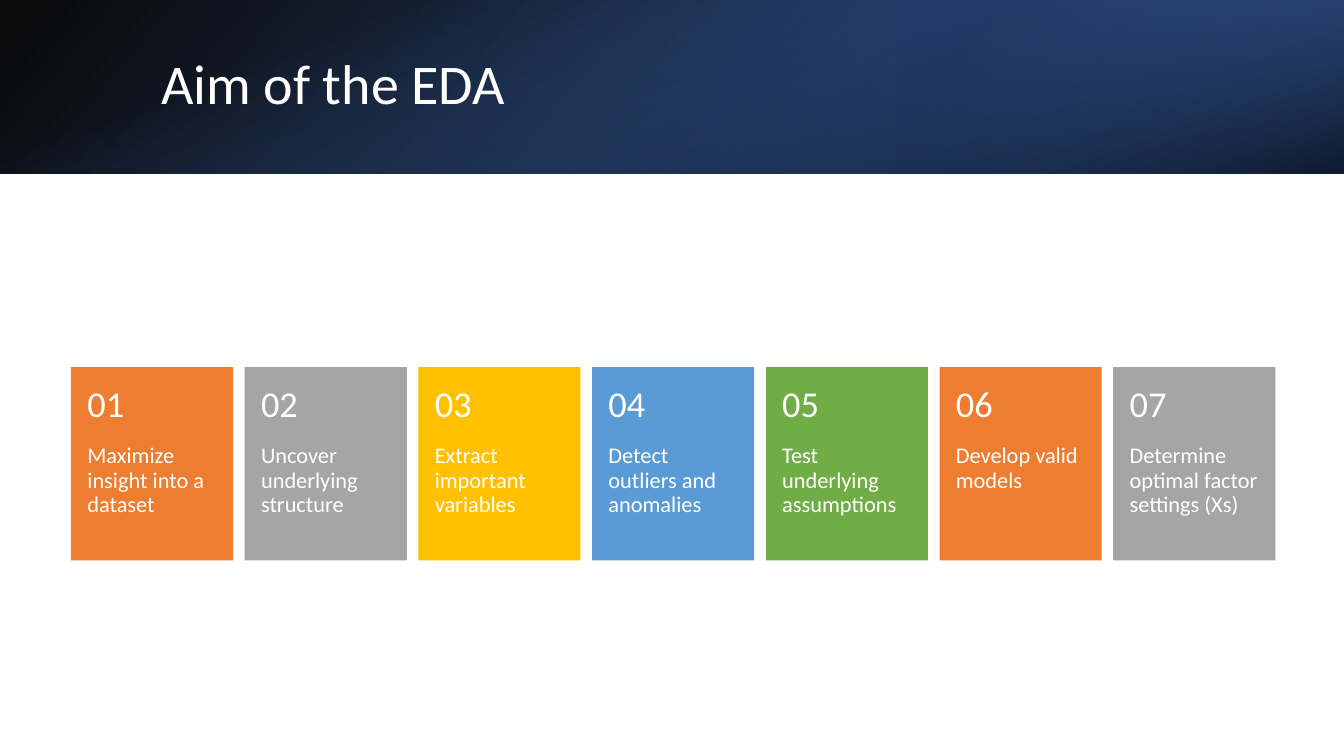
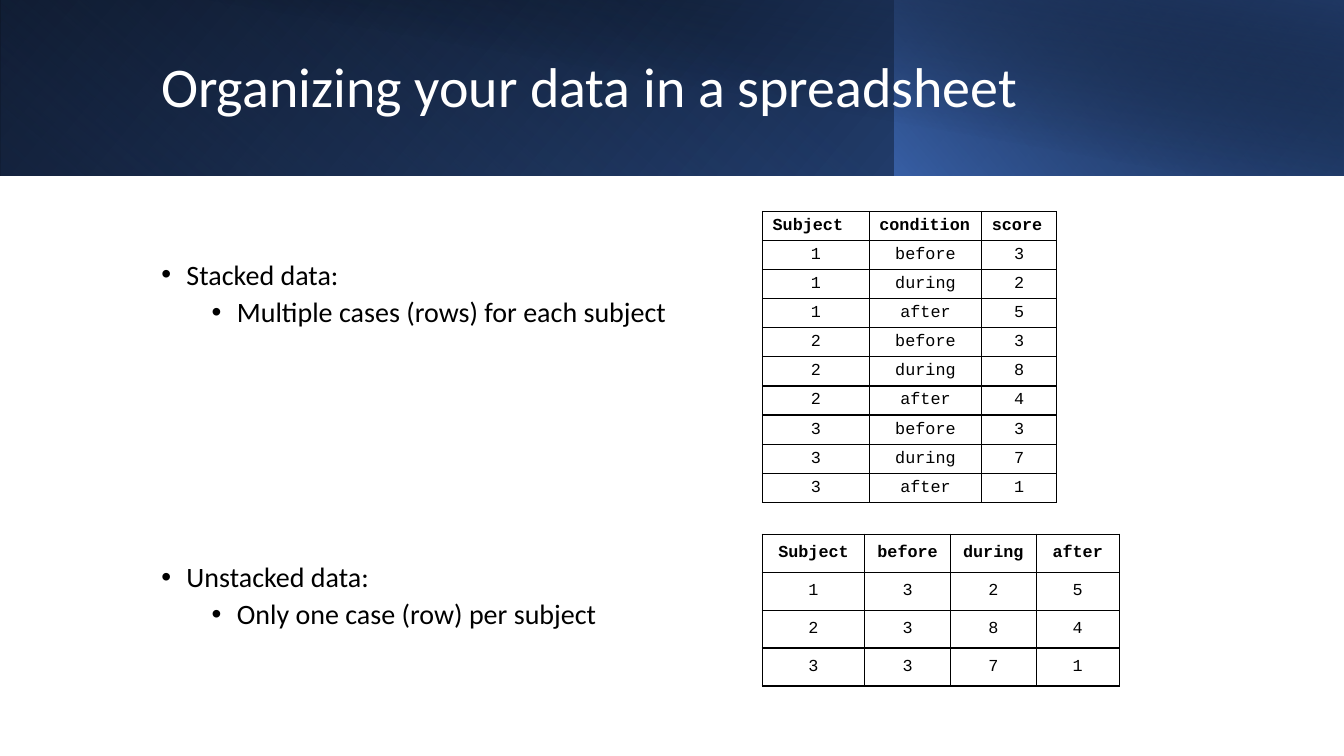
"""Build two slides on exploring data: aims in tiles, and two ways to lay out a table."""
from lxml.etree import SubElement as Sub
from pptx import Presentation
from pptx.dml.color import RGBColor as RGB
from pptx.enum.shapes import MSO_SHAPE as SHAPE
from pptx.enum.text import MSO_ANCHOR as ANCHOR, MSO_AUTO_SIZE as AUTO, PP_ALIGN as ALIGN
from pptx.oxml.ns import qn
from pptx.util import Pt

COLS, ROWS = 160, 90
FONT, MONO = "Calibri", "Courier New"
C = {
    "white": "FFFFFF", "black": "000000", "navy": "203864", "deep": "2F5597",
    "blue": "4472C4", "orange": "ED7D31", "gray": "A5A5A5", "gold": "FFC000",
    "sky": "5B9BD5", "green": "70AD47",
}
TILE_COLORS = ["orange", "gray", "gold", "sky", "green"]
AIMS = [
    "Maximize insight into a dataset",
    "Uncover underlying structure",
    "Extract important variables",
    "Detect outliers and anomalies",
    "Test underlying assumptions",
    "Develop valid models",
    "Determine optimal factor settings (Xs)",
]
TIMES = ["before", "during", "after"]
SCORES = {1: [3, 2, 5], 2: [3, 8, 4], 3: [3, 7, 1]}


def cell(n):
    """Turn grid columns or rows into a length."""
    return Pt(6 * n)


def place(shape, box):
    """Move a shape to a box given in grid units."""
    shape.left, shape.top, shape.width, shape.height = map(cell, box)


def write(p, text, size=20, font=FONT, color="white", bold=False,
          align=ALIGN.LEFT, spacing=0.9, before=0):
    """Fill one paragraph with formatted text."""
    p.alignment, p.line_spacing = align, spacing
    p.space_before, p.space_after = Pt(before), Pt(0)
    r = p.add_run()
    r.text = text
    f = r.font
    f.name, f.size, f.bold = font, Pt(size), bold
    f.color.rgb = RGB.from_string(C[color])


def frame(shape, anchor=ANCHOR.TOP):
    """Give a shape a wrapping text frame of fixed size."""
    tf = shape.text_frame
    tf.word_wrap, tf.auto_size, tf.vertical_anchor = True, AUTO.NONE, anchor
    return tf


def add_rect(s, box):
    """Add a rectangle without shadow or outline."""
    sp = s.shapes.add_shape(SHAPE.RECTANGLE, *map(cell, box))
    sp.shadow.inherit = False
    sp.line.fill.background()
    return sp


def add_band(s, box, angle, *stops, flip=True, turn=0):
    """Add a gradient rectangle; stops are (position, color, opacity)."""
    sp = add_rect(s, box)
    sp.rotation = turn
    pr = sp.element.spPr
    if flip:
        pr.find(qn("a:xfrm")).set("flipH", "1")
    sp.fill.gradient()
    grad = pr.find(qn("a:gradFill"))
    grad.clear()
    grad.set("rotWithShape", "1")
    gs_list = Sub(grad, qn("a:gsLst"))
    for pos, color, opacity in stops:
        gs = Sub(gs_list, qn("a:gs"), pos=str(pos * 1000))
        clr = Sub(gs, qn("a:srgbClr"), val=C[color])
        Sub(clr, qn("a:alpha"), val=str(opacity * 1000))
    Sub(grad, qn("a:lin"), ang=str(angle * 60000), scaled="0")


def add_base(s, height, opacity=100):
    """Add the full-width band behind a title."""
    add_band(s, (0, 0, COLS, height), 140, (0, "black", opacity), (100, "deep", 100))


def set_title(s, text, box):
    """Fill and place the title placeholder in front of the bands."""
    title = s.shapes.title
    place(title, box)
    write(frame(title, ANCHOR.MIDDLE).paragraphs[0], text, size=40)
    title.element.getparent().append(title.element)


def add_text(s, box, text, size, insets, anchor=ANCHOR.TOP):
    """Add a text box with insets left, top, right, bottom in grid units."""
    tf = frame(s.shapes.add_textbox(*map(cell, box)), anchor)
    tf.margin_left, tf.margin_top, tf.margin_right, tf.margin_bottom = map(cell, insets)
    write(tf.paragraphs[0], text, size=size)


def add_tile(s, i, text):
    """Add one numbered tile of the row."""
    x, y, w, head, body = 8.45 + 20.68 * i, 43.72, 19.3, 9.2, 13.8
    sp = add_rect(s, (x, y, w, head + body))
    sp.fill.solid()
    sp.fill.fore_color.rgb = RGB.from_string(C[TILE_COLORS[i % len(TILE_COLORS)]])
    add_text(s, (x, y + head, w, body), text, 16, (1.95, 0, 1.7, 4.3))
    add_text(s, (x, y, w, head), f"{i + 1:02}", 26, (1.95, 2.1, 1.95, 2.1), ANCHOR.MIDDLE)


def add_bullet(tf, text, level=0, before=0):
    """Add a bulleted paragraph with a hanging indent."""
    p = tf.paragraphs[0] if not tf.text else tf.add_paragraph()
    p.level = level
    pr = p._p.get_or_add_pPr()
    pr.set("marL", str(cell(3 + 6 * level)))
    pr.set("indent", str(-cell(3)))
    Sub(pr, qn("a:buFont"), typeface="Arial")
    Sub(pr, qn("a:buChar"), char="•")
    write(p, text, color="black", before=before)


def add_borders(c):
    """Draw thin black lines round a table cell."""
    pr = c._tc.get_or_add_tcPr()
    for i, side in enumerate("LRTB"):
        ln = Sub(pr, qn(f"a:ln{side}"), w=str(Pt(1)))
        Sub(Sub(ln, qn("a:solidFill")), qn("a:srgbClr"), val=C["black"])
        pr.insert(i, ln)


def add_grid(s, x, y, widths, row_height, rows, head_align=ALIGN.CENTER):
    """Add a ruled table with a bold first row."""
    box = (x, y, sum(widths), row_height * len(rows))
    table = s.shapes.add_table(len(rows), len(widths), *map(cell, box)).table
    for col, width in zip(table.columns, widths):
        col.width = cell(width)
    for i, row in enumerate(rows):
        table.rows[i].height = cell(row_height)
        for j, value in enumerate(row):
            c = table.cell(i, j)
            c.fill.background()
            c.vertical_anchor = ANCHOR.MIDDLE
            add_borders(c)
            write(c.text_frame.paragraphs[0], str(value), size=12, font=MONO,
                  color="black", bold=i == 0, spacing=1.0,
                  align=ALIGN.CENTER if i else head_align)


def build_aims(prs):
    """Build the slide of numbered aims."""
    s = prs.slides.add_slide(prs.slide_layouts[5])
    h = 20.64
    side = (COLS - h) / 2
    add_base(s, h, opacity=96)
    add_band(s, (COLS * 2 / 3, 0, COLS / 3, h), 320,
             (19, "navy", 68), (100, "blue", 79), turn=180)
    add_band(s, (side, -side, h, COLS), 340,
             (23, "blue", 0), (99, "black", 74), flip=False, turn=90)
    set_title(s, "Aim of the EDA", (18, 4.5, 131.8, 11.5))
    for i, aim in enumerate(AIMS):
        add_tile(s, i, aim)


def build_tables(prs):
    """Build the slide of stacked and unstacked data."""
    s = prs.slides.add_slide(prs.slide_layouts[1])
    h, split = 20.9, 106.5
    add_base(s, h)
    add_band(s, (0, 0, split, h), 230, (20, "blue", 0), (100, "navy", 55), turn=180)
    add_band(s, (split, 0, COLS - split, h), 220, (0, "blue", 66), (100, "black", 30))
    add_band(s, (6, 0, COLS - 6, h), 280,
             (50, "black", 0), (99, "navy", 52), flip=False)
    set_title(s, "Organizing your data in a spreadsheet", (18, 3.8, 129.8, 13.6))

    body = s.placeholders[1]
    place(body, (18, 30.45, 127.6, 48.4))
    tf = frame(body)
    add_bullet(tf, "Stacked data:")
    add_bullet(tf, "Multiple cases (rows) for each subject", level=1, before=5)
    add_bullet(tf, "Unstacked data:", before=168)
    add_bullet(tf, "Only one case (row) per subject", level=1, before=5)

    stacked = [(n, t, v) for n, row in SCORES.items() for t, v in zip(TIMES, row)]
    unstacked = [(n, *row) for n, row in SCORES.items()]
    add_grid(s, 90.78, 25.17, [12.7, 13.4, 8.9], 3.46,
             [("Subject", "condition", "score"), *stacked], ALIGN.LEFT)
    add_grid(s, 90.75, 63.6, [12.2, 10.2, 10.2, 9.9], 4.52,
             [("Subject", *TIMES), *unstacked])


def main():
    """Build and save the presentation."""
    prs = Presentation()
    prs.slide_width, prs.slide_height = cell(COLS), cell(ROWS)
    build_aims(prs)
    build_tables(prs)
    prs.save("out.pptx")


if __name__ == "__main__":
    main()
